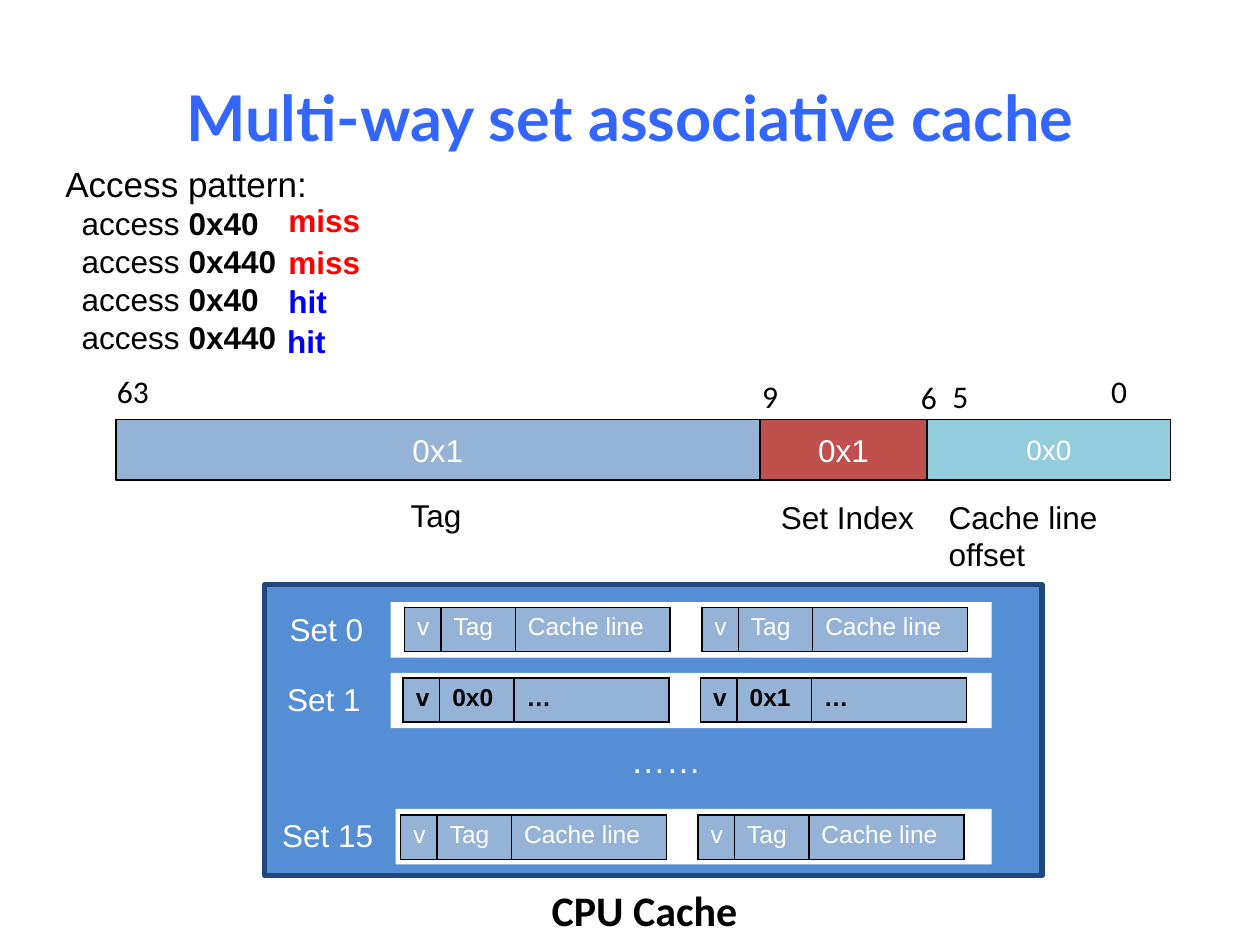
from lxml import etree
from pptx import Presentation, util as u
from pptx.dml.color import RGBColor
from pptx.enum import shapes, text
from pptx.oxml.ns import qn

BLACK = RGBColor(0, 0, 0)
WHITE = RGBColor(255, 255, 255)
TITLE = RGBColor(0x33, 0x66, 0xFF)
RED = RGBColor(255, 0, 0)
BLUE = RGBColor(0, 0, 255)
CACHE = RGBColor(0x55, 0x8E, 0xD5)
EDGE = RGBColor(0x1F, 0x49, 0x7D)
STEEL = RGBColor(0x95, 0xB3, 0xD7)
BRICK = RGBColor(0xC0, 0x50, 0x4D)
AQUA = RGBColor(0x93, 0xCD, 0xDD)

# Content
HEAD = "Multi-way set associative cache"
TRACE = [("0x40", "miss", 2.19, 1.55), ("0x440", "miss", 2.19, 1.88),
         ("0x40", "hit", 2.19, 2.19), ("0x440", "hit", 2.18, 2.51)]
HUES = {"miss": RED, "hit": BLUE}
FIELDS = [("0x1", 5.11, STEEL, 18), ("0x1", 1.33, BRICK, 18),
          ("0x0", 1.93, AQUA, 16)]
BITS = [("63", 0.83, 2.9), ("9", 5.95, 2.94), ("6", 7.21, 2.95),
        ("5", 7.46, 2.94), ("0", 8.72, 2.9)]
NAMES = [("Tag", 3.16, 3.89, 0.61), ("Set Index", 6.1, 3.9, 1.27),
         ("Cache line offset", 7.43, 3.9, 2.02)]
PLAIN = ["v", "Tag", "Cache line"]
# Name, name left, band left, band top, table left, table top, ways, bold
SETS = [("Set 0", 2.2, 3.1, 4.78, 3.21, 4.82, [PLAIN, PLAIN], False),
        ("Set 1", 2.18, 3.1, 5.34, 3.2, 5.38,
         [["v", "0x0", "…"], ["v", "0x1", "…"]], True),
        ("Set 15", 2.14, 3.14, 6.42, 3.18, 6.47, [PLAIN, PLAIN], False)]
COLS = [0.29, 0.59, 1.23]
WAY = 2.36      # step from one way to the next
RIGHT = 7.87    # right edge of the set bands

prs = Presentation()
prs.slide_width, prs.slide_height = u.Inches(10), u.Inches(7.5)
slide = prs.slides.add_slide(prs.slide_layouts[5])


def inch(*vals):
    return [u.Inches(v) for v in vals]


def style(font, size=18, hue=BLACK, bold=False, name="Arial"):
    form = {"size": u.Pt(size), "bold": bold, "name": name}
    for key, val in form.items():
        setattr(font, key, val)
    font.color.rgb = hue


def label(words, x, y, w, h=0.4, wrap=False, **form):
    frame = slide.shapes.add_textbox(*inch(x, y, w, h)).text_frame
    frame.word_wrap = wrap
    para = frame.paragraphs[0]
    run = para.add_run()
    run.text = words
    style(run.font, **form)
    return frame


def rect(x, y, w, h, fill, line=None, width=1):
    box = slide.shapes.add_shape(shapes.MSO_SHAPE.RECTANGLE, *inch(x, y, w, h))
    box.shadow.inherit = False
    box.fill.solid()
    box.fill.fore_color.rgb = fill
    if line is None:
        box.line.fill.background()
    else:
        box.line.color.rgb = line
        box.line.width = u.Pt(width)
    return box


def border(cell):
    props = cell._tc.get_or_add_tcPr()
    for at, side in enumerate(("lnL", "lnR", "lnT", "lnB")):
        line = etree.Element(qn("a:" + side), w=str(u.Pt(1)))
        fill = etree.SubElement(line, qn("a:solidFill"))
        etree.SubElement(fill, qn("a:srgbClr"), val=str(BLACK))
        props.insert(at, line)


def way(words, x, y, hue, bold):
    grid = slide.shapes.add_table(
        1, len(COLS), *inch(x, y, sum(COLS), 0.35)).table
    grid.first_row = grid.horz_banding = False
    for at, (word, wide) in enumerate(zip(words, COLS)):
        grid.columns[at].width = u.Inches(wide)
        cell = grid.cell(0, at)
        cell.margin_right = 0
        cell.text = word
        style(cell.text_frame.paragraphs[0].runs[0].font, 14, hue, bold)
        cell.fill.solid()
        cell.fill.fore_color.rgb = STEEL
        border(cell)


# Title
title = slide.shapes.title
title.left, title.top, title.width, title.height = inch(0.5, 0.3, 9, 1.25)
frame = title.text_frame
frame.text = HEAD
frame.vertical_anchor = text.MSO_ANCHOR.MIDDLE
frame.paragraphs[0].alignment = text.PP_ALIGN.CENTER
style(frame.paragraphs[0].runs[0].font, 36, TITLE, True, "Lato")

# Cache body with its sets
rect(2.1, 4.64, 6.17, 2.31, CACHE, EDGE, 3)
label("CPU Cache", 4.28, 6.97, 2.72, 0.5, size=24, bold=True, name="Calibri")
for name, left, x, y, start, top, ways, bold in SETS:
    label(name, left, y + 0.01, 0.92, hue=WHITE)
    rect(x, y, RIGHT - x, 0.44, WHITE)
    for at, words in enumerate(ways):
        way(words, start + at * WAY, top, BLACK if bold else WHITE, bold)
label("……", 4.91, 5.81, 0.76, 0.44, size=20, hue=WHITE)

# Address fields, laid end to end
x = 0.92
for word, wide, fill, size in FIELDS:
    box = rect(x, 3.33, wide, 0.48, fill, BLACK)
    frame = box.text_frame
    frame.text = word
    frame.vertical_anchor = text.MSO_ANCHOR.MIDDLE
    frame.paragraphs[0].alignment = text.PP_ALIGN.CENTER
    style(frame.paragraphs[0].runs[0].font, size, WHITE)
    x += wide
for word, x, y in BITS:
    label(word, x, y, 0.51, name="Calibri")
for word, x, y, wide in NAMES:
    label(word, x, y, wide)

# Access pattern and its outcomes
frame = label("Access pattern:", 0.42, 1.24, 2.15, 1.68, size=20)
for addr, result, x, y in TRACE:
    para = frame.add_paragraph()
    para._p.get_or_add_pPr().set("marL", str(u.Inches(0.13)))
    for word, bold in (("access ", False), (addr, True)):
        run = para.add_run()
        run.text = word
        style(run.font, bold=bold)
    label(result, x, y, 0.78, hue=HUES[result], bold=True)

prs.save("out.pptx")
